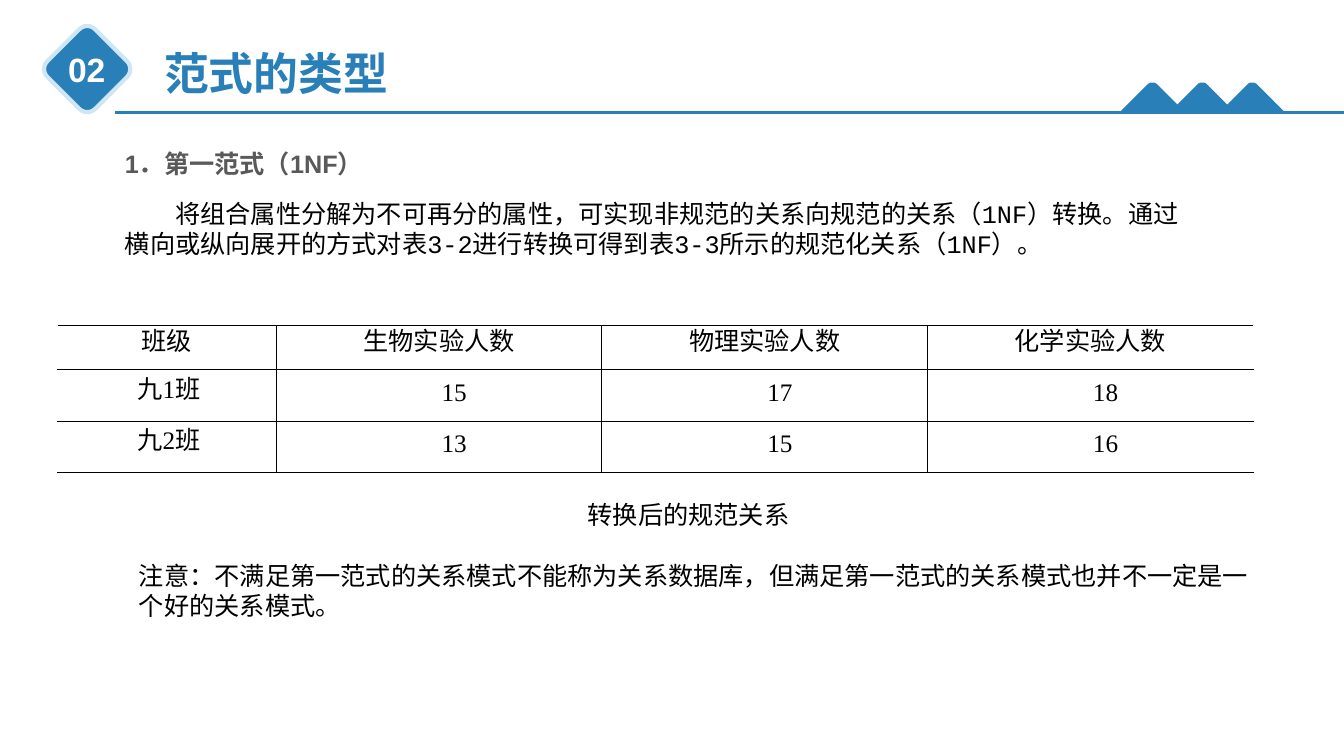
from lxml.etree import SubElement
from pptx import Presentation
from pptx.dml.color import RGBColor
from pptx.enum.shapes import MSO_CONNECTOR, MSO_SHAPE
from pptx.enum.text import MSO_ANCHOR, MSO_AUTO_SIZE, PP_ALIGN
from pptx.oxml import parse_xml
from pptx.oxml.ns import nsdecls, qn
from pptx.util import Inches, Pt

BLUE = RGBColor(0x29, 0x80, 0xB9)
PALE = RGBColor(0xD1, 0xE6, 0xF5)
GRAY = RGBColor(0x59, 0x59, 0x59)
BLACK = RGBColor(0, 0, 0)
WHITE = RGBColor(255, 255, 255)

# Content: text, box, size, font, colour, bold, wrap
TITLE = ("范式的类型", (1.53, 0.4, 2.45, 0.64), 32, "Arial", BLUE, True, False)
NUMBER = ("02", (0.57, 0.44, 0.58, 0.5), 24, "Arial", WHITE, True, False)
HEAD = ("1．第一范式（1NF）", (1.14, 1.36, 11.12, 0.43), 18, "Arial", GRAY, True, True)
BODY = ("将组合属性分解为不可再分的属性，可实现非规范的关系向规范的关系（1NF）转换。"
        "通过横向或纵向展开的方式对表3-2进行转换可得到表3-3所示的规范化关系（1NF）。",
        (1.14, 1.92, 10.74, 0.71), 18, "Courier New", BLACK, False, True)
CAPTION = ("转换后的规范关系", (5.73, 4.9, 2.22, 0.4), 18, "Arial", BLACK, False, False)
NOTE = ("注意：不满足第一范式的关系模式不能称为关系数据库，"
        "但满足第一范式的关系模式也并不一定是一个好的关系模式。",
        (1.28, 5.51, 11.29, 0.71), 18, "Arial", BLACK, False, True)
ROWS = [
    ["班级", "生物实验人数", "物理实验人数", "化学实验人数"],
    ["九1班", "15", "17", "18"],
    ["九2班", "13", "15", "16"],
]
WIDTHS = [2.17, 3.23, 3.23, 3.23]
HEIGHTS = [0.44, 0.51, 0.51]
PEAKS = [11.43 + 0.495 * i for i in range(3)]
SLOPE = [(-0.33, 1.12), (-0.06, 0.85), (-0.04, 0.83), (-0.02, 0.82)]

deck = Presentation()
deck.slide_width, deck.slide_height = Inches(13.33), Inches(7.5)
slide = deck.slides.add_slide(deck.slide_layouts[6])
shapes = slide.shapes


def add_run(para, text, size, font, color, bold=False):
    run = para.add_run()
    run.text = text
    run.font.size, run.font.name, run.font.bold = Pt(size), font, bold
    run.font.color.rgb = color


def add_text(item):
    text, box, size, font, color, bold, wrap = item
    frame = shapes.add_textbox(*map(Inches, box)).text_frame
    frame.word_wrap = wrap
    frame.auto_size = MSO_AUTO_SIZE.SHAPE_TO_FIT_TEXT
    para = frame.paragraphs[0]
    add_run(para, text, size, font, color, bold)
    return para


def indent(para, left, first):
    props = para._p.get_or_add_pPr()
    props.set("marL", str(Inches(left)))
    props.set("indent", str(Inches(first)))


def add_edges(cell, sides):
    props = cell._tc.get_or_add_tcPr()
    for i, side in enumerate(sides):
        line = parse_xml(f'<a:ln{side} {nsdecls("a")} w="12700"><a:solidFill>'
                         f'<a:srgbClr val="{BLACK}"/></a:solidFill></a:ln{side}>')
        props.insert(i, line)


# Header: badge, rule, peaks
badge = shapes.add_shape(MSO_SHAPE.ROUNDED_RECTANGLE, *map(Inches, (0.53, 0.35, 0.67, 0.67)))
badge.rotation = 45
badge.shadow.inherit = False
badge.fill.solid()
badge.fill.fore_color.rgb = BLUE
badge.line.color.rgb = PALE
badge.line.width = Pt(3)

rule = shapes.add_connector(MSO_CONNECTOR.STRAIGHT, *map(Inches, (1.14, 1.12, 13.33, 1.12)))
rule.line.color.rgb = BLUE
rule.line.width = Pt(2.25)
SubElement(rule._element.spPr, qn("a:effectLst"))

for mid in PEAKS:
    points = SLOPE + [(0, 0.82)] + [(-x, y) for x, y in reversed(SLOPE)]
    points = [(Inches(mid + x), Inches(y)) for x, y in points]
    path = shapes.build_freeform(*points[0])
    path.add_line_segments(points[1:], close=True)
    peak = path.convert_to_shape()
    peak.shadow.inherit = False
    peak.fill.solid()
    peak.fill.fore_color.rgb = BLUE
    peak.line.fill.background()

# Text
add_text(TITLE)
add_text(NUMBER).alignment = PP_ALIGN.CENTER
add_text(HEAD).line_spacing = 1.2
indent(add_text(BODY), 0, 0.5)
add_text(CAPTION)
add_text(NOTE)

# Table
table = shapes.add_table(len(ROWS), len(WIDTHS), Inches(0.57), Inches(3.23),
                         Inches(sum(WIDTHS)), Inches(sum(HEIGHTS))).table
table.first_row = table.horz_banding = False
for col, width in zip(table.columns, WIDTHS):
    col.width = Inches(width)
for row, height in zip(table.rows, HEIGHTS):
    row.height = Inches(height)

for r, row in enumerate(ROWS):
    for c, text in enumerate(row):
        cell = table.cell(r, c)
        cell.fill.background()
        cell.vertical_anchor = MSO_ANCHOR.MIDDLE
        cell.margin_left = cell.margin_right = Inches(0.07)
        cell.margin_top = cell.margin_bottom = 0
        para = cell.text_frame.paragraphs[0]
        para.alignment = PP_ALIGN.CENTER
        if r and c:
            para.line_spacing = Pt(15.6)
            indent(para, 0, 0.3)
        else:
            para.line_spacing = Pt(14)
            para.space_before = para.space_after = Pt(1)
            if r:
                indent(para, 0.04, 0)
        add_run(para, text, 18, "Times New Roman" if r else "Arial", BLACK)
        sides = ["L"] * (c > 0) + ["R"] * (c < len(row) - 1) + ["T", "B"]
        add_edges(cell, sides)

deck.save("out.pptx")
